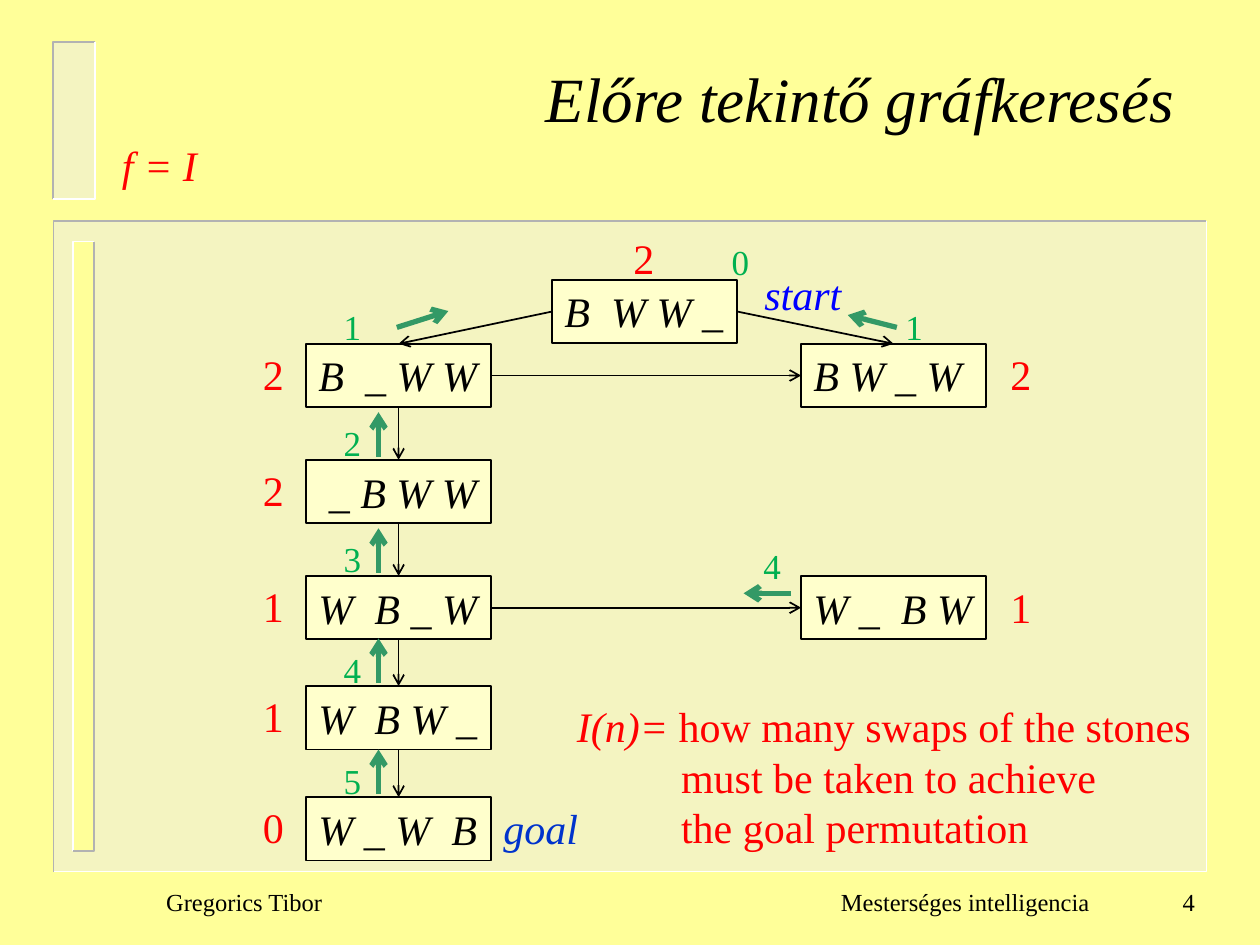
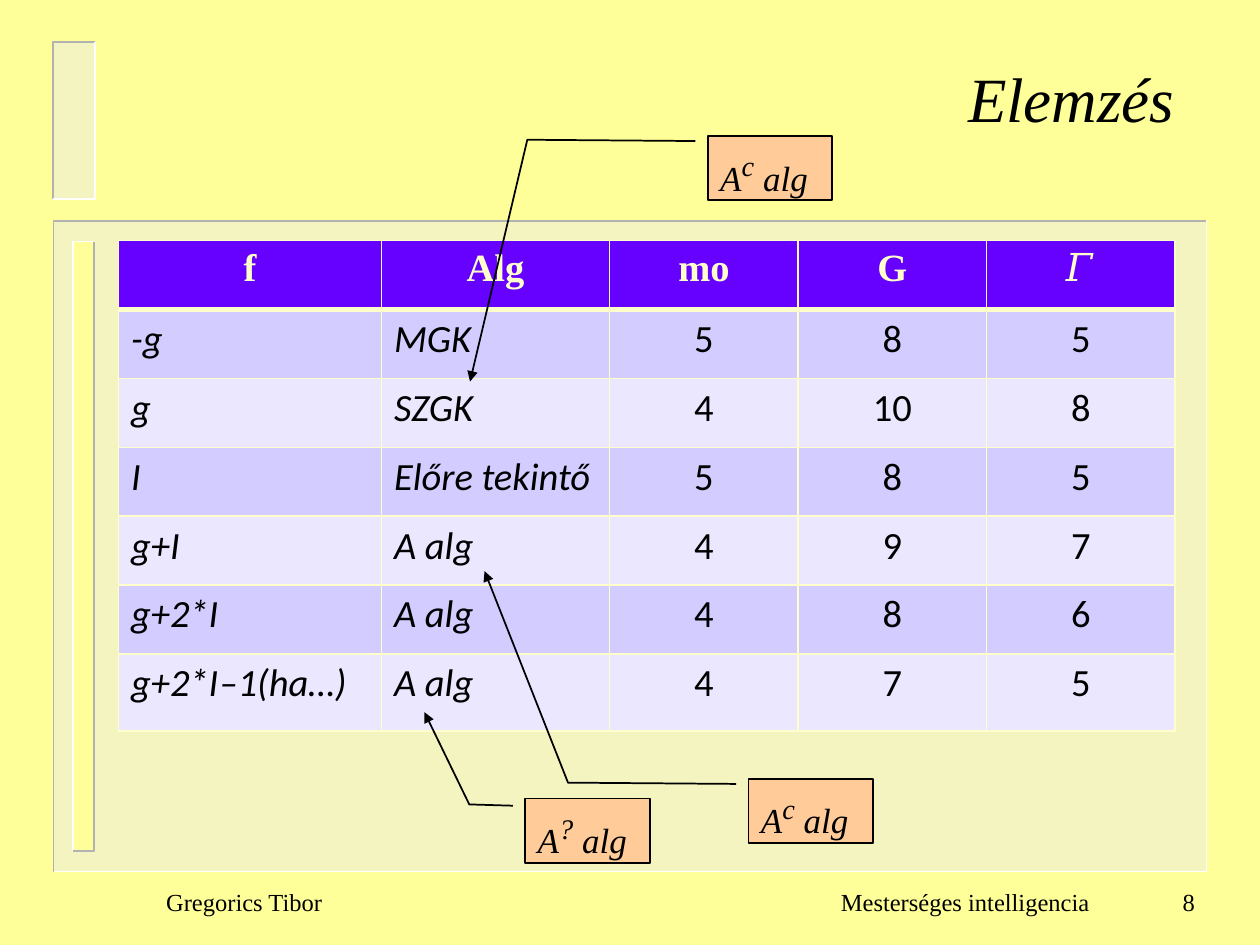
import dataclasses

import pptx
import pptx.util
import pptx.dml.color
import pptx.enum.shapes
import pptx.enum.text
import pptx.oxml.ns
from lxml import etree

Cm, Pt = pptx.util.Cm, pptx.util.Pt
qn = pptx.oxml.ns.qn
rgb = pptx.dml.color.RGBColor.from_string
SHAPE = pptx.enum.shapes.MSO_SHAPE
ALIGN = pptx.enum.text.PP_ALIGN
ANCHOR = pptx.enum.text.MSO_ANCHOR


@dataclasses.dataclass(frozen=True)
class Theme:
    """Colours, fonts and type sizes of the deck."""
    page: str = "FFFF99"
    panel: str = "EAEAEA"
    shade: str = "B2B2B2"
    light: str = "FFFFFF"
    ink: str = "000000"
    cream: str = "FFFFCC"
    red: str = "FF0000"
    blue: str = "0000FF"
    navy: str = "0033CC"
    green: str = "00B050"
    moss: str = "339966"
    peach: str = "FFCC99"
    head: str = "6600FF"
    bands: tuple = ("D3CCFF", "EAE7FF")
    serif: str = "Times New Roman"
    sans: str = "Calibri"
    title: int = 36
    large: int = 28
    main: int = 24
    grid: int = 22
    small: int = 20
    foot: int = 14


T = Theme()


def write(frame, runs, align=ALIGN.LEFT, **form):
    """Fill a text frame with (text, colour, font values) runs; return the paragraph."""
    for key, value in form.items():
        setattr(frame, key, value)
    para = frame.paragraphs[0]
    para.alignment = align
    for text, color, look in runs:
        for nth, line in enumerate(text.split("\n")):
            if nth:
                para.add_line_break()
            run = para.add_run()
            run.text = line
            run.font.color.rgb = rgb(color)
            for key, value in {"name": T.serif, "italic": False, **look}.items():
                setattr(run.font, key, value)
    return para


def trim(shape, edge=None, width=1, fill=None, tail=None):
    """Set outline, fill and arrowhead of a shape, and drop its shadow."""
    if edge:
        shape.line.color.rgb = rgb(edge)
        shape.line.width = Pt(width)
    else:
        shape.line.fill.background()
    if fill:
        shape.fill.solid()
        shape.fill.fore_color.rgb = rgb(fill)
    props = shape.element.spPr
    if tail:
        etree.SubElement(props.find(qn("a:ln")), qn("a:tailEnd"), type=tail)
    etree.SubElement(props, qn("a:effectLst"))


deck = pptx.Presentation()
deck.slide_width, deck.slide_height = Cm(25.4), Cm(19.05)
base = deck.slide_layouts[5]
back = deck.slide_master.background.fill
back.solid()
back.fore_color.rgb = rgb(T.page)
place = {"left": Cm(2.34), "top": Cm(0.97), "width": Cm(21.59), "height": Cm(3.07)}
for key, value in place.items():
    setattr(base.placeholders[0], key, value)

graph, study = [deck.slides.add_slide(base) for _ in range(2)]

# Shared frame: bevelled panels and footer, drawn once and moved to the layout
panels = [
    (1.08, 4.45, 23.24, 13.12, T.panel, T.shade, T.light),
    (1.48, 4.87, 0.42, 12.28, T.page, T.light, T.shade),
    (1.07, 0.85, 0.85, 3.17, T.panel, T.shade, T.light),
]
frame = []
for x, y, w, h, fill, upper, lower in panels:
    rect = graph.shapes.add_shape(SHAPE.RECTANGLE, Cm(x), Cm(y), Cm(w), Cm(h))
    trim(rect, fill=fill)
    if fill == T.panel:
        tint = rect.element.spPr.find(qn("a:solidFill"))[0]
        etree.SubElement(tint, qn("a:alpha"), val="50000")
    frame.append(rect)
    for edge, near in ((upper, (x, y)), (lower, (x + w, y + h))):
        pen = graph.shapes.build_freeform(Cm(x + w), Cm(y))
        pen.add_line_segments([(Cm(near[0]), Cm(near[1])), (Cm(x), Cm(y + h))], close=False)
        bevel = pen.convert_to_shape()
        bevel.fill.background()
        trim(bevel, edge)
        frame.append(bevel)

foot = {"size": Pt(T.foot)}
notes = [
    ("Gregorics Tibor", 3.1, 4.5, ALIGN.LEFT),
    ("Mesterséges intelligencia", 15.22, 7, ALIGN.RIGHT),
]
for text, x, w, align in notes:
    box = graph.shapes.add_textbox(Cm(x), Cm(17.55), Cm(w), Cm(1.27))
    write(box.text_frame, [(text, T.ink, foot)], align,
          word_wrap=True, vertical_anchor=ANCHOR.MIDDLE)
    frame.append(box)
for nth, part in enumerate(frame):
    part.element.nvSpPr.cNvPr.set("id", str(100 + nth))
    base.shapes.element.insert(2 + nth, part.element)

# Titles and slide numbers
heads = [(graph, "Előre tekintő gráfkeresés", "4"), (study, "Elemzés", "8")]
for slide, title, page in heads:
    write(slide.shapes.title.text_frame,
          [(title, T.ink, {"size": Pt(T.title), "italic": True})], ALIGN.RIGHT,
          auto_size=pptx.enum.text.MSO_AUTO_SIZE.NONE,
          vertical_anchor=ANCHOR.TOP, margin_top=Cm(0.22))
    box = slide.shapes.add_textbox(Cm(19.05), Cm(17.55), Cm(5.29), Cm(1.27))
    write(box.text_frame, [(page, T.ink, foot)], ALIGN.RIGHT,
          word_wrap=True, vertical_anchor=ANCHOR.MIDDLE)

# Search graph: states with their cost and depth
LEFT, MID, RIGHT = 6.17, 11.13, 16.15
WIDE, HIGH = 3.73, 1.28
levels = [6.93, 9.27, 11.61, 13.83, 16.07]
top = 5.64
states = [  # text, place, cost and its place, depth and its place
    ("B  W W _", MID, top, "2", 12.52, 4.57, "0", 14.5, 4.72),
    ("B W _ W ", RIGHT, levels[0], "2", 20.12, 6.9, "1", 18, 6.03),
    ("W _  B W", RIGHT, levels[2], "1", 20.12, 11.6, "4", 15.14, 10.85),
]
chain = ["B  _ W W", " _ B W W", "W  B _ W", "W  B W _", "W _ W  B"]
for nth, (text, cost, y) in enumerate(zip(chain, "22110", levels), 1):
    states.append((text, LEFT, y, cost, 5.05, y - 0.03, str(nth), 6.68, y - 0.89))

slant = {"size": Pt(T.main), "italic": True}
plain = {"size": Pt(T.main)}
labels = [
    ("start", 15.16, 5.28, 2.08, T.blue, slant),
    ("goal", 9.9, 16.05, 2.03, T.navy, slant),
    ("f = I", 2.21, 2.69, 2.03, T.red, slant),
]
for text, x, y, cost, cx, cy, depth, dx, dy in states:
    box = graph.shapes.add_shape(SHAPE.RECTANGLE, Cm(x), Cm(y), Cm(WIDE), Cm(HIGH))
    trim(box, T.ink, fill=T.cream)
    write(box.text_frame, [(text, T.ink, slant)],
          word_wrap=False, vertical_anchor=ANCHOR.TOP)
    labels.append((cost, cx, cy, 0.94, T.red, plain))
    labels.append((depth, dx, dy, 0.86, T.green, {"size": Pt(T.small)}))
for text, x, y, w, color, look in labels:
    box = graph.shapes.add_textbox(Cm(x), Cm(y), Cm(w), Cm(HIGH))
    write(box.text_frame, [(text, color, look)], word_wrap=False)

# Black edges lead forward, green arrows point back to the parent
axis, far = LEFT + WIDE / 2, RIGHT + WIDE / 2
edges = [(MID, top + HIGH / 2, axis, levels[0]),
         (MID + WIDE, top + HIGH / 2, far, levels[0])]
edges += [(LEFT + WIDE, y + HIGH / 2, RIGHT, y + HIGH / 2) for y in levels[0:3:2]]
backs = [(8, 6.6, 9.04, 6.27), (18.08, 6.6, 17.09, 6.35), (15.95, 11.96, 14.99, 11.96)]
for upper, lower in zip(levels, levels[1:]):
    edges.append((axis, upper + HIGH, axis, lower))
    backs.append((7.63, lower - 0.06, 7.63, lower - 0.96))
for group, color, width in ((edges, T.ink, 1), (backs, T.moss, 3)):
    for ends in group:
        link = graph.shapes.add_connector(
            pptx.enum.shapes.MSO_CONNECTOR.STRAIGHT, *[Cm(end) for end in ends])
        trim(link, color, width, tail="arrow")

box = graph.shapes.add_textbox(Cm(11.38), Cm(14), Cm(13.18), Cm(3.33))
rule = "how many swaps of the stones\nmust be taken to achieve\nthe goal permutation"
para = write(box.text_frame, [("I(n)= ", T.red, slant), (rule, T.red, plain)],
             word_wrap=True)
props = para._p.get_or_add_pPr()
for key, value in {"marL": Cm(2.1), "indent": -Cm(2.1)}.items():
    props.set(key, str(value))

# Comparison table
rows = [
    ("f", "Alg", "mo", "G", "\U0001d6e4"),
    ("-g", "MGK", "5", "8", "5"),
    ("g", "SZGK", "4", "10", "8"),
    ("I", "Előre tekintő", "5", "8", "5"),
    ("g+I", "A alg", "4", "9", "7"),
    ("g+2*I", "A alg", "4", "8", "6"),
    ("g+2*I\u20121(ha…)", "A alg", "4", "7", "5"),
]
table = study.shapes.add_table(
    7, 5, Cm(2.39), Cm(4.85), Cm(21.3), Cm(9.9)).table
for col, w in zip(table.columns, (5.3, 4.6, 3.8, 3.8, 3.8)):
    col.width = Cm(w)
for row in table.rows:
    row.height = Cm(1.39)
table.rows[6].height = Cm(1.55)
for r, row in enumerate(rows):
    for c, text in enumerate(row):
        cell = table.cell(r, c)
        sides = {"L": 1, "R": 1, "T": 3 if r == 1 else 1, "B": 3 if r == 0 else 1}
        for side, width in sides.items():
            line = etree.SubElement(cell._tc.get_or_add_tcPr(), qn("a:ln" + side),
                                    w=str(Pt(width)))
            paint = etree.SubElement(line, qn("a:solidFill"))
            etree.SubElement(paint, qn("a:srgbClr"), val=T.cream)
        cell.fill.solid()
        cell.fill.fore_color.rgb = rgb(T.bands[(r - 1) % 2] if r else T.head)
        look = {"size": Pt(T.grid), "bold": r == 0}
        if r:
            look.update(name=T.sans, italic=c < 2)
        write(cell.text_frame, [(text, T.cream if r == 0 else T.ink, look)],
              ALIGN.LEFT if r and c < 2 else ALIGN.CENTER)

# Callouts that name the algorithms
calls = [
    ("c", 15.09, 15.7, (0.076, -0.098, 0.059, -1.452, -3.224, -2.117)),
    ("?", 10.59, 16.1, (0.106, -0.098, 0.089, -0.453, -1.339, -0.805)),
    ("c", 14.27, 2.74, (0.076, -0.098, 0.059, -1.452, 3.809, -1.914)),
]
small = {"size": Pt(T.small), "italic": True}
for mark, x, y, bends in calls:
    call = study.shapes.add_shape(SHAPE.LINE_CALLOUT_2, Cm(x), Cm(y), Cm(2.51), Cm(1.3))
    for nth, bend in enumerate(bends):
        call.adjustments[nth] = round(bend, 2)
    trim(call, T.ink, fill=T.peach, tail="triangle")
    para = write(call.text_frame, [
        ("A", T.ink, small),
        (mark, T.ink, {"size": Pt(T.large), "italic": True}),
        (" ", T.ink, {"size": Pt(T.small)}),
        ("alg", T.ink, small),
    ], word_wrap=True, vertical_anchor=ANCHOR.TOP)
    para.space_before = para.space_after = Pt(3)
    para.runs[1].font._element.set("baseline", "30000")

deck.save("out.pptx")
